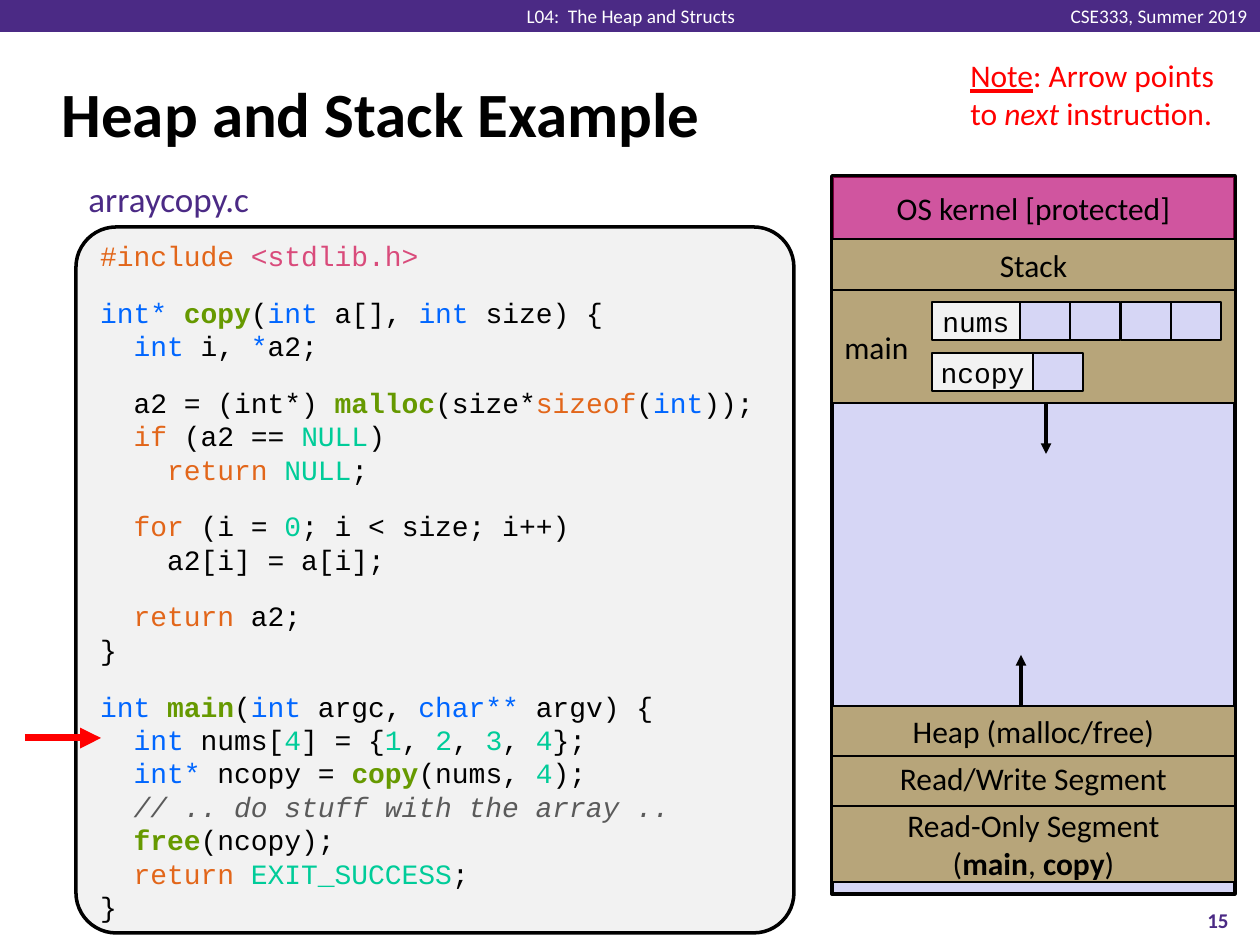
from lxml import etree
from pptx import Presentation, util as u
from pptx.dml.color import RGBColor
from pptx.enum import shapes as s, text as t
from pptx.oxml.ns import qn

PIXEL = 914400 / 126
COLORS = {
    "purple": "4B2A85", "white": "FFFFFF", "black": "000000", "red": "FF0000",
    "panel": "D6D6F5", "segment": "B7A57A", "label": "F2F2F2", "kernel": "CC0066",
    "orange": "E2661A", "pink": "D94B7B", "blue": "0066FF", "green": "669900",
    "teal": "00CC99", "gray": "5A5A5A",
}
# Each marked-up segment starts with one letter that names its style.
STYLES = {
    "p": {}, "b": {"bold": True}, "i": {"italic": True}, "u": {"underline": True},
    "k": {"color": "orange"}, "h": {"color": "pink"}, "t": {"color": "blue"},
    "f": {"color": "green", "bold": True}, "n": {"color": "teal"},
    "c": {"color": "gray", "italic": True},
}
LEFT, CENTER, RIGHT = t.PP_ALIGN.LEFT, t.PP_ALIGN.CENTER, t.PP_ALIGN.RIGHT
TOP, MIDDLE, BOTTOM = t.MSO_ANCHOR.TOP, t.MSO_ANCHOR.MIDDLE, t.MSO_ANCHOR.BOTTOM
CALIBRI, COURIER = "Calibri", "Courier New"


def write(shape, lines, size, color="black", font=CALIBRI, align=LEFT, anchor=MIDDLE):
    """Fill a shape with marked-up lines, one paragraph each, and return its frame."""
    frame = shape.text_frame
    frame.word_wrap = True
    frame.vertical_anchor = anchor
    for index, line in enumerate(lines):
        paragraph = frame.paragraphs[0] if index == 0 else frame.add_paragraph()
        paragraph.alignment = align
        paragraph.font.size = u.Pt(size)
        paragraph.font.name = font
        paragraph.font.color.rgb = RGBColor.from_string(COLORS[color])
        for segment in line.split("|"):
            if segment == "\n":
                paragraph.add_line_break()
                continue
            run = paragraph.add_run()
            run.text = segment[1:]
            for name, value in STYLES[segment[0]].items():
                if name == "color":
                    run.font.color.rgb = RGBColor.from_string(COLORS[value])
                else:
                    setattr(run.font, name, value)
    return frame


def block(parent, box, fill, width, kind=s.MSO_SHAPE.RECTANGLE):
    """Add a filled shape with a black outline of the given width in points."""
    shape = parent.shapes.add_shape(kind, *[round(n * PIXEL) for n in box])
    shape.shadow.inherit = False
    shape.fill.solid()
    shape.fill.fore_color.rgb = RGBColor.from_string(COLORS[fill])
    if width:
        shape.line.width = u.Pt(width)
        shape.line.color.rgb = RGBColor.from_string(COLORS["black"])
    else:
        shape.line.fill.background()
    return shape


presentation = Presentation()
presentation.slide_width = round(1260 * PIXEL)
presentation.slide_height = round(945 * PIXEL)
slide = presentation.slides.add_slide(presentation.slide_layouts[5])

# Header band
block(slide, (0, 0, 1260, 32), "purple", 0)

# Title
title = slide.shapes.title
title.left, title.top, title.width, title.height = [
    round(n * PIXEL) for n in (49, 60, 1158, 105)]
write(title, ["bHeap and Stack Example"], 36)

# Code listing
CODE = [
    ["k#include |h<stdlib.h>"],
    ["tint* |fcopy|p(|tint|p a[], |tint|p size) {",
     "p  |tint |pi, |t*|pa2;"],
    ["p  a2 = (int*) |fmalloc|p(size*|ksizeof|p(|tint|p));",
     "p  |kif|p (a2 == |nNULL|p)",
     "p    |kreturn |nNULL|p;"],
    ["p  |kfor|p (i = |n0|p; i < size; i++)",
     "p    a2[i] = a[i];"],
    ["p  |kreturn|p a2;",
     "p}"],
    ["tint |fmain|p(|tint |pargc, |tchar** |pargv) {",
     "p  |tint |pnums[|n4|p] = {|n1|p, |n2|p, |n3|p, |n4|p};",
     "p  |tint* |pncopy = |fcopy|p(nums, |n4|p);",
     "c  // .. do stuff with the array ..",
     "p  |ffree|p(ncopy);",
     "p  |kreturn |nEXIT_SUCCESS|p;",
     "p}"],
]
code_box = block(slide, (76, 227, 718, 706), "label", 2, s.MSO_SHAPE.ROUNDED_RECTANGLE)
code_box.adjustments[0] = 0.057
code_frame = write(code_box, sum(CODE, []), 16, font=COURIER, anchor=TOP)
code_frame.margin_top = 0
for paragraph in code_frame.paragraphs:
    paragraph.line_spacing = u.Pt(19.15)
first_line = 0
for section in CODE[:-1]:
    first_line += len(section)
    code_frame.paragraphs[first_line].space_before = u.Pt(13.2)

# Memory layout
MEMORY_LEFT, MEMORY_WIDTH = 832, 403
block(slide, (MEMORY_LEFT, 176, MEMORY_WIDTH, 718), "panel", 2)
SEGMENTS = [
    ("pOS kernel [protected]", 176, 63, "kernel", CENTER, MIDDLE),
    ("pStack", 239, 51, "segment", CENTER, MIDDLE),
    ("pmain", 290, 113, "segment", LEFT, MIDDLE),
    ("pHeap (malloc/free)", 706, 50, "segment", CENTER, BOTTOM),
    ("pRead/Write Segment", 756, 50, "segment", CENTER, MIDDLE),
    ("pRead-Only Segment|\n|p(|bmain|p, |bcopy|p)", 806, 76, "segment", CENTER, MIDDLE),
]
for label, top, height, fill, align, anchor in SEGMENTS:
    segment = block(slide, (MEMORY_LEFT, top, MEMORY_WIDTH, height), fill, 1.5)
    frame = write(segment, [label], 18, align=align, anchor=anchor)
    if fill == "kernel":
        color = segment.fill._xPr.find(".//" + qn("a:srgbClr"))
        etree.SubElement(color, qn("a:alpha"), val="60000")
    if "Read/Write" in label:
        frame.paragraphs[0].line_spacing = 0.8

# Variables in the stack frame of main
for name, top, label_width, cells in [("ncopy", 353, 101, 1), ("nums", 302, 88, 4)]:
    variable = slide.shapes.add_group_shape()
    label = block(variable, (932, top, label_width, 38), "label", 1)
    frame = write(label, ["p" + name], 16, font=COURIER, align=CENTER)
    frame.margin_left = frame.margin_right = frame.margin_top = frame.margin_bottom = 0
    for cell in range(cells):
        left = 932 + label_width + round(cell * 50.4)
        block(variable, (left, top, 50, 38), "panel", 1)

# Arrows: heap growth, next instruction, stack growth
for start_x, start_y, end_x, end_y, color, width in [
        (1021, 706, 1021, 655, "black", 2),
        (25, 738, 101, 738, "red", 4),
        (1046, 403, 1046, 454, "black", 2)]:
    arrow = slide.shapes.add_connector(
        s.MSO_CONNECTOR.STRAIGHT,
        *[round(n * PIXEL) for n in (start_x, start_y, end_x, end_y)])
    arrow.line.width = u.Pt(width)
    arrow.line.color.rgb = RGBColor.from_string(COLORS[color])
    etree.SubElement(arrow.line._get_or_add_ln(), qn("a:tailEnd"), type="triangle")
    etree.SubElement(arrow._element.spPr, qn("a:effectLst"))

# Free-standing text
TEXTS = [
    ("pCSE333, Summer 2019", (1056, 4, 204, 24), 11, "white", RIGHT, MIDDLE),
    ("pL04:  The Heap and Structs", (513, 4, 236, 24), 11, "white", CENTER, MIDDLE),
    ("b15", (1176, 895, 84, 50), 12, "purple", CENTER, MIDDLE),
    ("parraycopy.c", (76, 171, 315, 55), 20, "purple", LEFT, TOP),
    ("uNote|p: Arrow points to |inext|p instruction.", (958, 50, 290, 89),
     18, "red", LEFT, TOP),
]
for line, box, size, color, align, anchor in TEXTS:
    text_box = slide.shapes.add_textbox(*[round(n * PIXEL) for n in box])
    frame = write(text_box, [line], size, color, align=align, anchor=anchor)
    if color == "white":
        frame.word_wrap = False
        frame.margin_top = frame.margin_bottom = 0

presentation.save("out.pptx")
